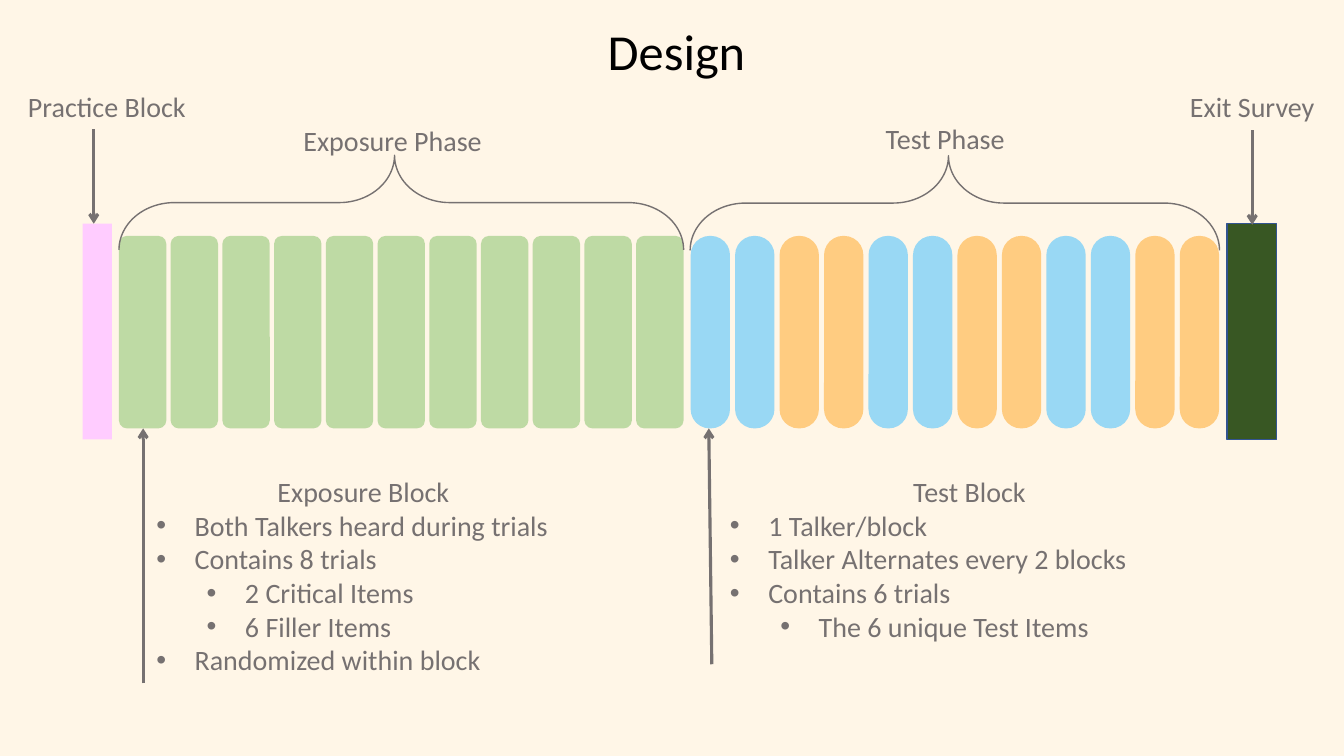
from pptx import Presentation
from pptx.dml.color import RGBColor as RGB
from pptx.enum.shapes import MSO_CONNECTOR as Link, MSO_SHAPE as Form
from pptx.enum.text import MSO_ANCHOR as Anchor, PP_ALIGN as Align
from pptx.oxml.ns import qn
from pptx.oxml.xmlchemy import OxmlElement as Node
from pptx.util import Inches, Pt

HUES = {
    "page": "FFF6E7", "title": "000000", "text": "767171",
    "green": "A9D18E", "blue": "77CEF9", "orange": "FFBE5F",
    "pink": "FFCCFF", "forest": "385723", "edge": "325491",
}


def hue(name):
    return RGB.from_string(HUES[name])


def add(parent, tag, **attrs):
    node = Node(tag)
    for key, value in attrs.items():
        node.set(key, str(value))
    parent.append(node)
    return node


class Board:
    font, size = "Calibri", 20

    def __init__(self, slide):
        self.slide = slide
        fill = slide.background.fill
        fill.solid()
        fill.fore_color.rgb = hue("page")

    def style(self, par, color="text", size=size):
        for run in par.runs:
            run.font.name, run.font.size = self.font, Pt(size)
            run.font.color.rgb = hue(color)

    def place(self, shape, box):
        shape.left, shape.top, shape.width, shape.height = map(Inches, box)

    def title(self, text, box):
        shape = self.slide.shapes.title
        self.place(shape, box)
        frame = shape.text_frame
        frame.text, frame.vertical_anchor = text, Anchor.MIDDLE
        par = frame.paragraphs[0]
        par.alignment, par.line_spacing = Align.CENTER, 0.9
        self.style(par, "title", 36)

    def label(self, text, box):
        frame = self.slide.shapes.add_textbox(*map(Inches, box)).text_frame
        frame.word_wrap, frame.text = True, text
        par = frame.paragraphs[0]
        par.alignment = Align.CENTER
        self.style(par)

    def notes(self, index, head, items, box):
        """Fill a body placeholder with a centred heading and (level, text) bullets."""
        shape = self.slide.placeholders[index]
        self.place(shape, box)
        frame = shape.text_frame
        frame.text = "\n".join([head] + [text for _, text in items])
        levels = [None] + [level for level, _ in items]
        for par, level in zip(frame.paragraphs, levels):
            par.space_before = Pt(0)
            self.style(par)
            if level is None:
                par.alignment = Align.CENTER
                left = hang = 0
            else:
                par.level = level
                left, hang = 0.38 + 0.5 * level, -0.38
            props = par._p.get_or_add_pPr()
            props.set("marL", str(Inches(left)))
            props.set("indent", str(Inches(hang)))
            if level is None:
                add(props, "a:buNone")
            else:
                add(props, "a:buFont", typeface="Arial")
                add(props, "a:buChar", char="•")

    def shape(self, form, box, fill=None, edge=None, adj=(), alpha=None):
        shape = self.slide.shapes.add_shape(form, *map(Inches, box))
        shape.shadow.inherit = False
        for i, value in enumerate(adj):
            shape.adjustments[i] = value
        if fill:
            shape.fill.solid()
            shape.fill.fore_color.rgb = hue(fill)
        else:
            shape.fill.background()
        if edge:
            shape.line.color.rgb, shape.line.width = hue(edge), Pt(1)
        else:
            shape.line.fill.background()
        if alpha:
            color = shape.element.spPr.find(qn("a:solidFill"))[0]
            add(color, "a:alpha", val=alpha * 1000)
        return shape

    def row(self, fills, left, step, width, adj):
        for i, fill in enumerate(fills):
            box = (left + i * step, 2.34, width, 1.91)
            self.shape(Form.ROUNDED_RECTANGLE, box, fill, adj=[adj], alpha=75)

    def brace(self, box):
        shape = self.shape(Form.LEFT_BRACE, box, edge="text", adj=(0.584, 0.512))
        shape.rotation = 90

    def arrow(self, *ends):
        line = self.slide.shapes.add_connector(Link.STRAIGHT, *map(Inches, ends))
        line.line.color.rgb, line.line.width = hue("text"), Pt(2.25)
        props = line.element.spPr
        add(props.find(qn("a:ln")), "a:tailEnd", type="arrow")
        add(props, "a:effectLst")


def main():
    deck = Presentation()
    deck.slide_width, deck.slide_height = Inches(13.33), Inches(7.5)
    board = Board(deck.slides.add_slide(deck.slide_layouts[3]))

    board.title("Design", (0.96, 0.12, 11.5, 0.84))
    board.row(["green"] * 11, 1.18, 0.513, 0.47, 0.167)
    board.row((["blue"] * 2 + ["orange"] * 2) * 3, 6.85, 0.441, 0.39, 0.487)
    board.shape(Form.RECTANGLE, (12.17, 2.22, 0.49, 2.14), "forest", "edge")
    board.shape(Form.RECTANGLE, (0.82, 2.22, 0.29, 2.14), "pink")

    board.brace((3.51, -0.79, 0.94, 5.6))
    board.brace((9, -0.61, 0.94, 5.25))

    for text, left, top, width in (
        ("Practice Block", 0, 0.84, 2.12),
        ("Exit Survey", 11.36, 0.84, 2.12),
        ("Exposure Phase", 2.16, 1.18, 3.47),
        ("Test Phase", 7.64, 1.16, 3.47),
    ):
        board.label(text, (left, top, width, 0.44))

    for ends in (
        (0.93, 1.28, 0.93, 2.22),
        (12.42, 1.29, 12.42, 2.23),
        (1.42, 6.78, 1.42, 4.25),
        (7.06, 6.59, 7.03, 4.25),
    ):
        board.arrow(*ends)

    board.notes(1, "Exposure Block", [
        (0, "Both Talkers heard during trials"),
        (0, "Contains 8 trials"),
        (1, "2 Critical Items"),
        (1, "6 Filler Items"),
        (0, "Randomized within block"),
    ], (1.45, 4.66, 4.31, 2.12))
    board.notes(2, "Test Block", [
        (0, "1 Talker/block"),
        (0, "Talker Alternates every 2 blocks"),
        (0, "Contains 6 trials"),
        (1, "The 6 unique Test Items"),
    ], (7.14, 4.66, 4.95, 1.78))

    deck.save("out.pptx")


if __name__ == "__main__":
    main()
